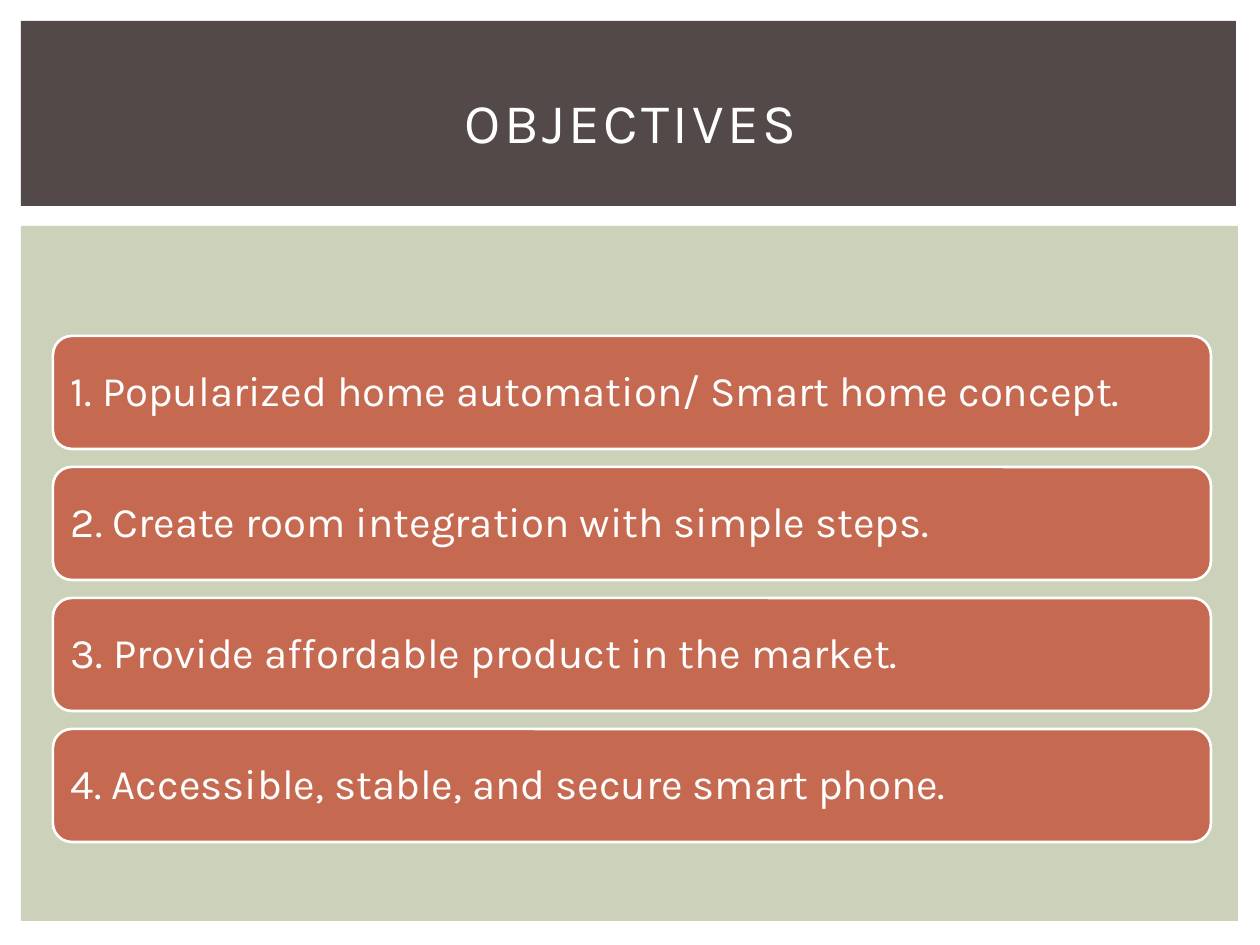
from dataclasses import dataclass

from pptx import Presentation
from pptx import util as u
from pptx.dml.color import RGBColor
from pptx.enum import shapes, text

PX = u.Inches(1) / 126
COLORS = {"white": "FFFFFF", "panel": "CCD1B9", "band": "534949", "bar": "C66951"}
KIND = shapes.MSO_SHAPE
GOALS = [
    "1. Popularized home automation/ Smart home concept.",
    "2. Create room integration with simple steps.",
    "3. Provide affordable product in the market.",
    "4. Accessible, stable, and secure smart phone.",
]
BAR_TOP, BAR_STEP = 336, 131


@dataclass
class Box:
    left: int
    top: int
    width: int
    height: int

    def emu(self) -> list[u.Emu]:
        sides = (self.left, self.top, self.width, self.height)
        return [u.Emu(round(side * PX)) for side in sides]


def color(name: str) -> RGBColor:
    return RGBColor.from_string(COLORS[name])


def assign(item, values: dict) -> None:
    for name, value in values.items():
        setattr(item, name, value)


def add_block(slide, kind, box: Box, fill: str, line: str | None = None):
    shape = slide.shapes.add_shape(kind, *box.emu())
    shape.shadow.inherit = False
    shape.fill.solid()
    shape.fill.fore_color.rgb = color(fill)
    if line:
        shape.line.color.rgb = color(line)
        shape.line.width = u.Pt(1.5)
    else:
        shape.line.fill.background()
    return shape


def write(shape, words: str, size: int, layout: dict, track: int = 0) -> None:
    """Put one white line in the shape; track is letter spacing in points."""
    frame = shape.text_frame
    margins = dict.fromkeys(
        ("margin_left", "margin_right", "margin_top", "margin_bottom"), u.Inches(0.1)
    )
    assign(frame, {"word_wrap": True, "vertical_anchor": text.MSO_ANCHOR.MIDDLE, **margins})
    para = frame.paragraphs[0]
    assign(para, layout)
    run = para.add_run()
    run.text = words
    assign(run.font, {"name": "Karla", "size": u.Pt(size)})
    run.font.color.rgb = color("white")
    if track:
        run.font._element.set("spc", str(track * 100))


def main() -> None:
    deck = Presentation()
    assign(deck, {"slide_width": u.Inches(10), "slide_height": u.Inches(7.5)})
    slide = deck.slides.add_slide(deck.slide_layouts[6])
    slide.background.fill.solid()
    slide.background.fill.fore_color.rgb = color("white")

    add_block(slide, KIND.RECTANGLE, Box(21, 226, 1217, 695), "panel")
    add_block(slide, KIND.RECTANGLE, Box(21, 21, 1215, 185), "band")
    title = slide.shapes.add_textbox(*Box(53, 49, 1155, 145).emu())
    write(title, "OBJECTIVES", 32, {"alignment": text.PP_ALIGN.CENTER}, track=2)

    layout = {"alignment": text.PP_ALIGN.LEFT, "line_spacing": 0.9}
    for row, goal in enumerate(GOALS):
        box = Box(53, BAR_TOP + row * BAR_STEP, 1158, 113)
        bar = add_block(slide, KIND.ROUNDED_RECTANGLE, box, "bar", "white")
        write(bar, goal, 24, layout)

    deck.save("out.pptx")


if __name__ == "__main__":
    main()
